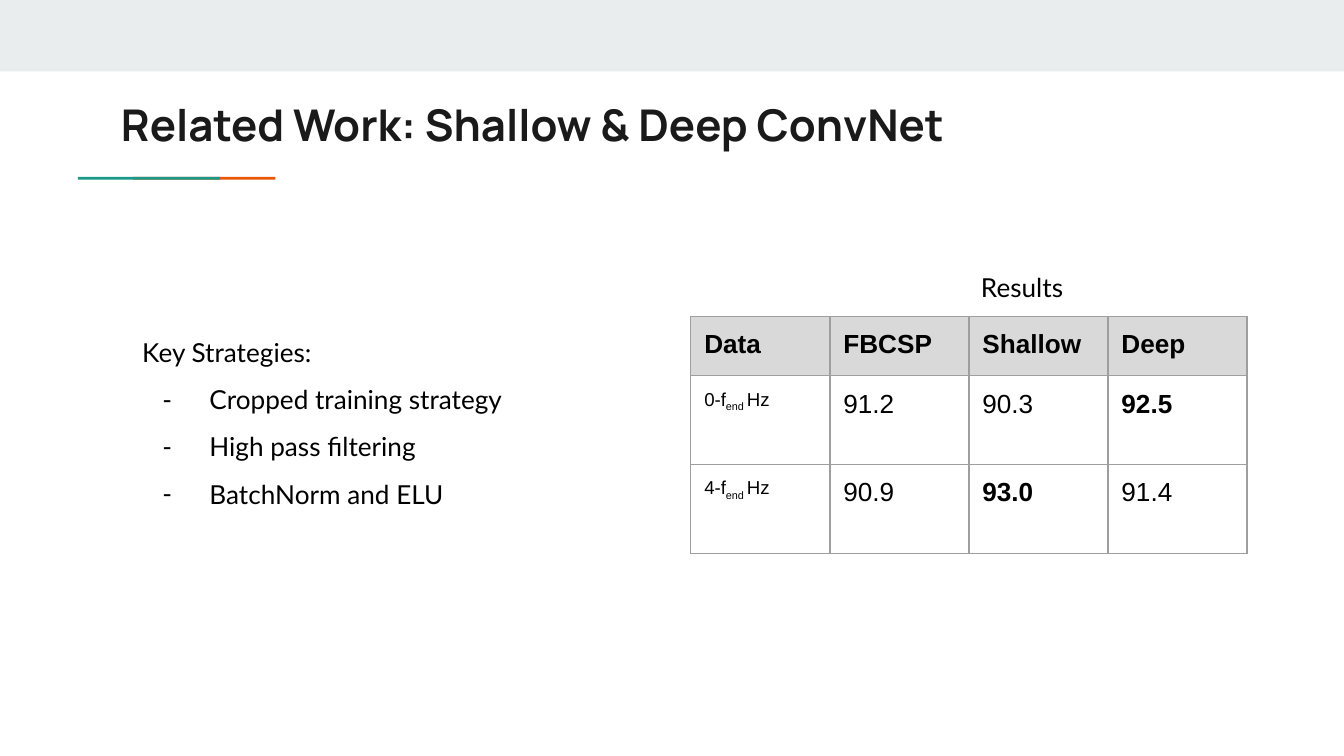
from lxml.etree import SubElement as Sub, Element
from pptx import Presentation
from pptx.dml.color import RGBColor
from pptx.enum.shapes import MSO_SHAPE as Shape
from pptx.enum.text import MSO_ANCHOR as Anchor, MSO_AUTO_SIZE as Fit, PP_ALIGN as Align
from pptx.oxml.ns import qn
from pptx.util import Inches, Pt

WIDE, HIGH = Inches(10), Inches(5.625)
PAD = Inches(0.1)
LATO = {"name": "Lato", "size": Pt(14), "bold": False}
HEAD = {"name": "Manrope", "size": Pt(23.4), "bold": True}
CELL = {"name": "Arial", "size": Pt(14), "bold": False}
BOLD = {**CELL, "bold": True}
SMALL = {**CELL, "size": Pt(10)}
FRAME = {"margin_left": PAD, "margin_right": PAD, "margin_top": PAD,
         "margin_bottom": PAD, "word_wrap": True, "auto_size": Fit.NONE,
         "vertical_anchor": Anchor.TOP}


def tint(code):
    return RGBColor.from_string(code)


def apply(item, look):
    for key, value in look.items():
        setattr(item, key, value)


def share(left, top, width, height):
    return [int(part * side / 100) for part, side in
            zip((left, top, width, height), (WIDE, HIGH, WIDE, HIGH))]


def write(para, text, look, color="000000", base=0):
    run = para.add_run()
    run.text = text
    apply(run.font, look)
    run.font.color.rgb = tint(color)
    if base:
        run.font._element.set("baseline", str(base))


def bar(slide, box, color):
    rect = slide.shapes.add_shape(Shape.RECTANGLE, *box)
    rect.shadow.inherit = False
    rect.fill.solid()
    rect.fill.fore_color.rgb = tint(color)
    rect.line.fill.background()


def accent(slide, box):
    left, top, width, height = box
    long = int(width * 0.72)
    bar(slide, (left + width - long, top, long, height), "EB5600")
    bar(slide, (left, top, long, height), "1A9988")


def title(slide, box, text):
    head = slide.shapes.title
    apply(head, dict(zip(("left", "top", "width", "height"), box)))
    apply(head.text_frame, FRAME)
    para = head.text_frame.paragraphs[0]
    para.alignment = Align.LEFT
    write(para, text, HEAD, "1A1A1A")


def frame(slide, box):
    body = slide.shapes.add_textbox(*box).text_frame
    apply(body, FRAME)
    return body


def label(slide, box, text):
    para = frame(slide, box).paragraphs[0]
    para.alignment = Align.CENTER
    write(para, text, LATO)


def dash(para):
    props = para._p.get_or_add_pPr()
    props.set("marL", str(Inches(0.5)))
    props.set("indent", str(Inches(-0.35)))
    color = Sub(props, qn("a:buClr"))
    Sub(color, qn("a:srgbClr"), val="000000")
    Sub(props, qn("a:buFont"), typeface="Lato")
    Sub(props, qn("a:buChar"), char="-")


def points(slide, box, lead, items):
    body = frame(slide, box)
    for spot, text in enumerate([lead, *items]):
        para = body.add_paragraph() if spot else body.paragraphs[0]
        para.line_spacing = 1.5
        if spot:
            dash(para)
        write(para, text, LATO)


def edge(cell):
    props = cell._tc.get_or_add_tcPr()
    for spot, side in enumerate(("lnL", "lnR", "lnT", "lnB")):
        line = Element(qn("a:" + side), w=str(Pt(0.75)))
        fill = Sub(line, qn("a:solidFill"))
        Sub(fill, qn("a:srgbClr"), val="9E9E9E")
        props.insert(spot, line)


def grid(slide, box, heads, rows):
    left, top, width, height = box
    table = slide.shapes.add_table(len(rows) + 1, len(heads), *box).table
    for col in table.columns:
        col.width = width // len(heads)
    for spot, row in enumerate(table.rows):
        row.height = int(height * (1.5 if spot else 1) / (1 + 1.5 * len(rows)))
    for r, line in enumerate([heads, *rows]):
        best = max(line[1:])
        for c, text in enumerate(line):
            cell = table.cell(r, c)
            apply(cell, {key: FRAME[key] for key in FRAME if "margin" in key})
            cell.fill.solid()
            cell.fill.fore_color.rgb = tint("FFFFFF" if r else "D9D9D9")
            edge(cell)
            para = cell.text_frame.paragraphs[0]
            if r and not c:
                write(para, text + "-f", SMALL)
                write(para, "end ", SMALL, base=-25000)
                write(para, "Hz", SMALL)
            else:
                write(para, text, BOLD if not r or text == best else CELL)


def main():
    deck = Presentation()
    deck.slide_width, deck.slide_height = WIDE, HIGH
    slide = deck.slides.add_slide(deck.slide_layouts[5])
    bar(slide, share(0, 0, 100, 9.45), "E9EDEE")
    accent(slide, share(5.8, 23.4, 14.7, 0.38))
    title(slide, share(8, 11.2, 84.1, 10.5), "Related Work: Shallow & Deep ConvNet")
    grid(slide, share(51.4, 41.9, 41.4, 31.3),
         ["Data", "FBCSP", "Shallow", "Deep"],
         [["0", "91.2", "90.3", "92.5"], ["4", "90.9", "93.0", "91.4"]])
    label(slide, share(67.9, 34.13, 16.3, 7.8), "Results")
    points(slide, share(9.6, 40.7, 32.6, 26.7), "Key Strategies:",
           ["Cropped training strategy", "High pass filtering", "BatchNorm and ELU"])
    deck.save("out.pptx")


if __name__ == "__main__":
    main()
